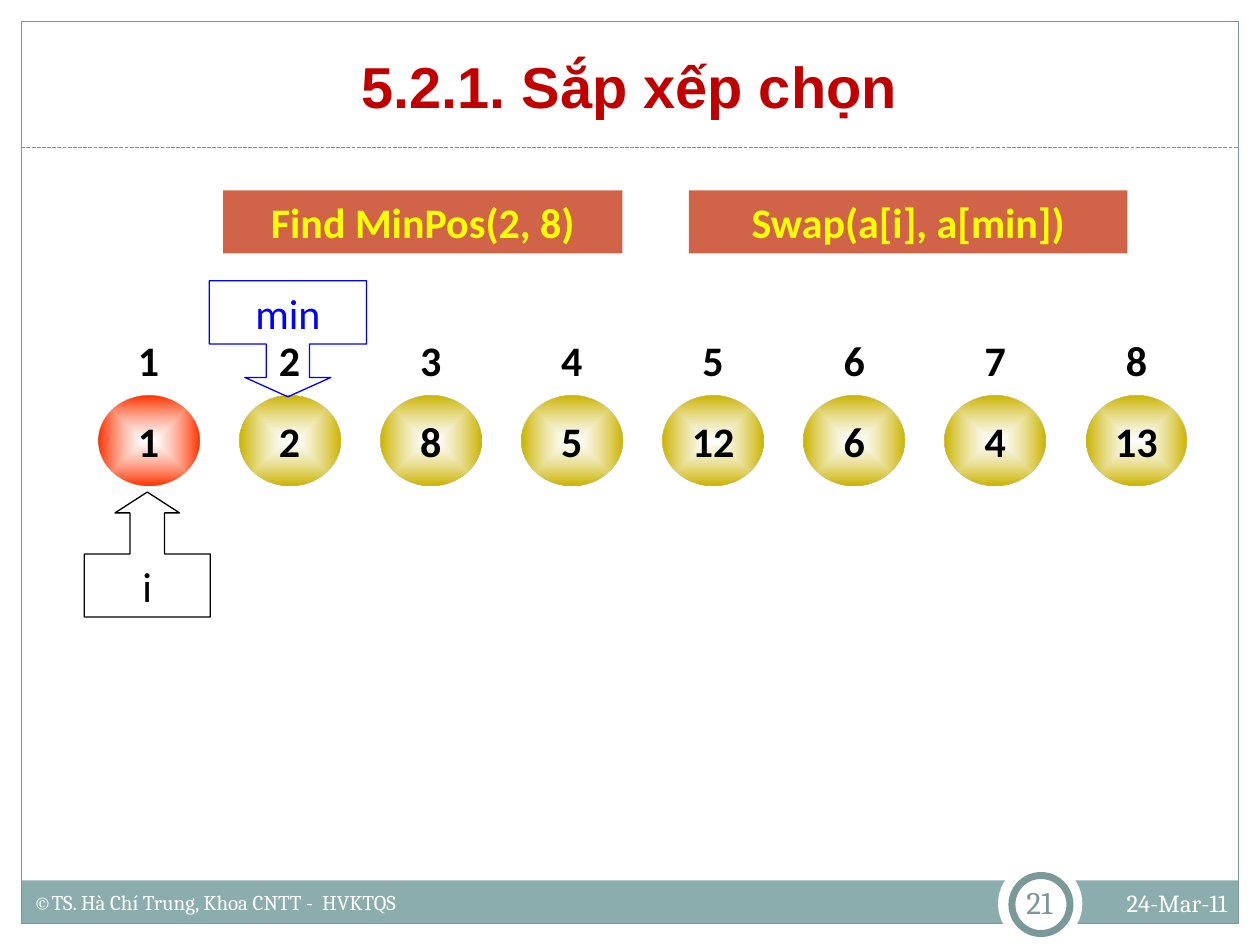
from lxml import etree
from pptx import Presentation
from pptx.dml.color import RGBColor
from pptx.enum.dml import MSO_LINE
from pptx.enum.shapes import MSO_CONNECTOR, MSO_SHAPE
from pptx.enum.text import MSO_ANCHOR, MSO_AUTO_SIZE, PP_ALIGN
from pptx.oxml import parse_xml
from pptx.oxml.ns import nsdecls, qn
from pptx.util import Cm, Pt

RECT, OVAL = MSO_SHAPE.RECTANGLE, MSO_SHAPE.OVAL
UP_CALLOUT, DOWN_CALLOUT = MSO_SHAPE.UP_ARROW_CALLOUT, MSO_SHAPE.DOWN_ARROW_CALLOUT
LEFT, CENTER, RIGHT = PP_ALIGN.LEFT, PP_ALIGN.CENTER, PP_ALIGN.RIGHT
TOP, MIDDLE, BOTTOM = MSO_ANCHOR.TOP, MSO_ANCHOR.MIDDLE, MSO_ANCHOR.BOTTOM

BLACK, WHITE, BLUE, YELLOW = "000000", "FFFFFF", "0000FF", "FFFF00"
TITLE_RED, BANNER, TEAL, TEAL_DARK = "C00000", "D16349", "8CADAE", "7C999A"
GOLD, RED = "CCB400", "FF3300"

VALUES = [1, 2, 8, 5, 12, 6, 4, 13]
BALL_LEFT, BALL_STEP = 1.98, 2.845
BALL_WIDTH, BALL_HEIGHT = 2.03, 1.8
INDEX_TOP, BALL_TOP = 6.35, 7.98


def color(hex_text):
    return RGBColor.from_string(hex_text)


def write(shape, text, size, hex_text, font="Calibri", bold=False,
          align=CENTER, anchor=MIDDLE, wrap=True):
    frame = shape.text_frame
    frame.word_wrap = wrap
    frame.vertical_anchor = anchor
    paragraph = frame.paragraphs[0]
    paragraph.alignment = align
    run = paragraph.add_run()
    run.text = text
    run.font.name = font
    run.font.size = Pt(size)
    run.font.bold = bold
    run.font.color.rgb = color(hex_text)


def add_box(shapes, kind, box, fill=None, line=None, line_width=0.75):
    shape = shapes.add_shape(kind, *map(Cm, box))
    shape.shadow.inherit = False
    if fill:
        shape.fill.solid()
        shape.fill.fore_color.rgb = color(fill)
    else:
        shape.fill.background()
    if line:
        shape.line.color.rgb = color(line)
        shape.line.width = Pt(line_width)
    else:
        shape.line.fill.background()
    return shape


def glow_fill(shape, edge):
    """Fill from a translucent white centre to the edge colour."""
    shape.fill.gradient()
    plain = shape._element.spPr.find(qn("a:gradFill"))
    glow = parse_xml(
        f'<a:gradFill rotWithShape="1" {nsdecls("a")}><a:gsLst>'
        f'<a:gs pos="0"><a:srgbClr val="{WHITE}"><a:alpha val="60000"/></a:srgbClr></a:gs>'
        f'<a:gs pos="100000"><a:srgbClr val="{edge}"/></a:gs></a:gsLst>'
        '<a:path path="shape"><a:fillToRect l="50000" t="50000" r="50000" b="50000"/>'
        '</a:path></a:gradFill>')
    plain.getparent().replace(plain, glow)


def add_ball(shapes, position, top, text, edge=None):
    left = BALL_LEFT + position * BALL_STEP
    ball = add_box(shapes, OVAL, (left, top, BALL_WIDTH, BALL_HEIGHT))
    if edge:
        glow_fill(ball, edge)
    write(ball, text, 24, BLACK, bold=True, wrap=False)
    ball.text_frame.auto_size = MSO_AUTO_SIZE.SHAPE_TO_FIT_TEXT


def add_callout(shapes, kind, box, adjustments, text, hex_text):
    callout = add_box(shapes, kind, box, line=hex_text)
    for number, value in enumerate(adjustments):
        callout.adjustments[number] = value
    write(callout, text, 24, hex_text)


def add_banner(shapes, left, width, text):
    banner = add_box(shapes, RECT, (left, 3.84, width, 1.27), fill=BANNER)
    write(banner, text, 24, YELLOW, bold=True)


def add_label(shapes, box, text, size, hex_text, align, anchor=TOP, inset=None):
    label = shapes.add_textbox(*map(Cm, box))
    write(label, text, size, hex_text, font="Cambria", align=align, anchor=anchor)
    if inset is not None:
        frame = label.text_frame
        frame.margin_left = frame.margin_right = Cm(inset)
        frame.margin_top = frame.margin_bottom = Cm(inset)


def add_frame(shapes):
    add_box(shapes, RECT, (0.43, 17.75, 24.54, 0.86), fill=TEAL)
    add_box(shapes, RECT, (0.43, 0.43, 24.54, 18.19), line=TEAL_DARK)
    divider = shapes.add_connector(
        MSO_CONNECTOR.STRAIGHT, Cm(0.43), Cm(2.97), Cm(24.97), Cm(2.97))
    divider.line.color.rgb = color(TEAL_DARK)
    divider.line.width = Pt(0.75)
    divider.line.dash_style = MSO_LINE.SQUARE_DOT
    etree.SubElement(divider._element.spPr, qn("a:effectLst"))
    # Page number badge
    add_box(shapes, OVAL, (20.12, 17.37, 1.7, 1.7), fill=WHITE)
    add_box(shapes, OVAL, (20.4, 17.65, 1.17, 1.17), WHITE, TEAL_DARK, 4)


def set_title(title, text):
    title.left, title.top, title.width, title.height = map(Cm, (0.84, 0.64, 23.7, 1.9))
    write(title, text, 33, TITLE_RED, font="Arial", bold=True, anchor=BOTTOM)


def main():
    deck = Presentation()
    deck.slide_width, deck.slide_height = Cm(25.4), Cm(19.05)
    slide = deck.slides.add_slide(deck.slide_layouts[5])
    shapes = slide.shapes

    add_frame(shapes)
    set_title(shapes.title, "5.2.1. Sắp xếp chọn")

    # Array values, the sorted one in red
    for position, value in enumerate(VALUES):
        add_ball(shapes, position, BALL_TOP, str(value), GOLD if position else RED)

    # Pointers to the current and the smallest item
    add_callout(shapes, UP_CALLOUT, (1.7, 9.92, 2.54, 2.52),
                (0.277, 0.258, 0.167, 0.505), "i", BLACK)
    add_callout(shapes, DOWN_CALLOUT, (4.22, 5.66, 3.17, 2.34),
                (0.371, 0.371, 0.167, 0.546), "min", BLUE)

    # Array indices
    indices = shapes.add_group_shape()
    for position in range(len(VALUES)):
        add_ball(indices.shapes, position, INDEX_TOP, str(position + 1))

    # Current steps
    add_banner(shapes, 4.5, 8.05, "Find MinPos(2, 8)")
    add_banner(shapes, 13.89, 8.84, "Swap(a[i], a[min])")

    # Footer
    add_label(shapes, (21.39, 17.78, 3.6, 0.84), "24-Mar-11", 14, WHITE, RIGHT)
    add_label(shapes, (0.43, 17.81, 15.24, 0.79),
              "©TS. Hà Chí Trung, Khoa CNTT -  HVKTQS", 12, WHITE, LEFT)
    add_label(shapes, (20.32, 17.58, 1.27, 1.22), "21", 18, TEAL_DARK, CENTER,
              anchor=MIDDLE, inset=0.13)

    deck.save("out.pptx")


if __name__ == "__main__":
    main()
